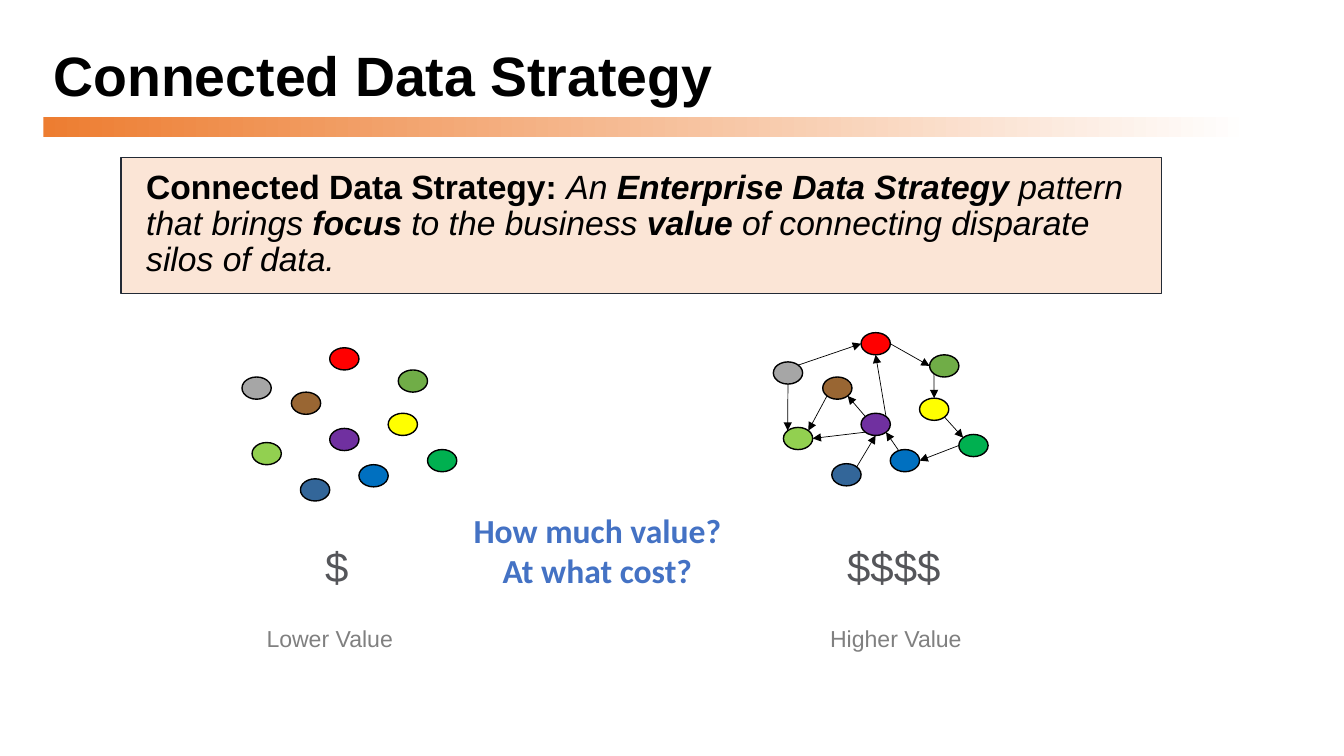
import math
import pptx
import pptx.util
import pptx.dml.color
import pptx.enum.shapes
import pptx.enum.text
import pptx.oxml.ns
from lxml import etree

Inches, Pt = pptx.util.Inches, pptx.util.Pt
Shape = pptx.enum.shapes.MSO_SHAPE
Fit = pptx.enum.text.MSO_AUTO_SIZE
Anchor = pptx.enum.text.MSO_ANCHOR
Align = pptx.enum.text.PP_ALIGN
qn = pptx.oxml.ns.qn

DOT_W, DOT_H = 0.29, 0.22
# name: (x, y from the corner of the cluster, colour)
DOTS = {
    "red": (0.87, 0, "FF0000"),
    "brown": (0.49, 0.44, "996633"),
    "purple": (0.87, 0.8, "7030A0"),
    "green": (1.55, 0.22, "70AD47"),
    "yellow": (1.45, 0.65, "FFFF00"),
    "lime": (0.1, 0.94, "92D050"),
    "blue": (1.16, 1.16, "0070C0"),
    "grey": (0, 0.29, "A6A6A6"),
    "jade": (1.84, 1.01, "00B050"),
    "navy": (0.58, 1.3, "336699"),
}
# start dot, angle on its rim, end dot, angle on its rim (clockwise from right)
LINKS = [
    ("grey", 315, "red", 180),
    ("red", 0, "green", 180),
    ("green", 135, "yellow", 270),
    ("yellow", 45, "jade", 225),
    ("jade", 180, "blue", 0),
    ("blue", 245, "purple", 45),
    ("purple", 225, "brown", 45),
    ("brown", 135, "lime", 315),
    ("grey", 90, "lime", 225),
    ("purple", 315, "red", 90),
    ("purple", 135, "lime", 0),
    ("navy", 315, "purple", 90),
]


def color(code):
    """Turn a hex string into a colour."""
    return pptx.dml.color.RGBColor.from_string(code)


def add_run(para, text, size, code, font="Arial", bold=False, italic=False):
    """Add one formatted run to a paragraph."""
    run = para.add_run()
    run.text = text
    run.font.name, run.font.size = font, Pt(size)
    run.font.bold, run.font.italic = bold, italic
    run.font.color.rgb = color(code)


def add_form(shapes, kind, box, fill, line=None, width=1):
    """Add a flat preset shape in a box given in inches."""
    form = shapes.add_shape(kind, *map(Inches, box))
    form.shadow.inherit = False
    form.fill.solid()
    form.fill.fore_color.rgb = color(fill)
    if line:
        form.line.color.rgb = color(line)
        form.line.width = Pt(width)
    else:
        form.line.fill.background()
    return form


def add_head(slide, box):
    """Place the title with the fading bar beneath it."""
    left, top, width, height = box
    bar = add_form(slide.shapes, Shape.RECTANGLE, (left, top + height, width, 0.2), "ED7D31")
    bar.fill.gradient()
    bar.fill.gradient_angle = 0
    for stop, code in zip(bar.fill.gradient_stops, ("ED7D31", "FFFFFF")):
        stop.color.rgb = color(code)
    title = slide.shapes.title
    title.left, title.top, title.width, title.height = map(Inches, box)
    frame = title.text_frame
    frame.auto_size = Fit.NONE
    frame.vertical_anchor = Anchor.MIDDLE
    para = frame.paragraphs[0]
    para.alignment, para.line_spacing = Align.LEFT, 0.9
    add_run(para, "Connected Data Strategy", 39.6, "000000", bold=True)


def add_claim(slide, box):
    """Place the boxed definition."""
    form = add_form(slide.shapes, Shape.RECTANGLE, box, "FBE5D6", "222A35", 0.75)
    frame = form.text_frame
    frame.word_wrap, frame.auto_size = True, Fit.SHAPE_TO_FIT_TEXT
    frame.vertical_anchor = Anchor.TOP
    frame.margin_left = frame.margin_right = Inches(0.25)
    frame.margin_top = frame.margin_bottom = Inches(0.13)
    para = frame.paragraphs[0]
    para.alignment, para.line_spacing = Align.LEFT, 0.9
    para.space_before = Pt(10)
    for text, bold, italic in [
        ("Connected Data Strategy: ", True, False),
        ("An ", False, True),
        ("Enterprise Data Strategy ", True, True),
        ("pattern that brings ", False, True),
        ("focus", True, True),
        (" to the business ", False, True),
        ("value", True, True),
        (" of connecting disparate silos of data.", False, True),
    ]:
        add_run(para, text, 24, "000000", bold=bold, italic=italic)


def rim(name, angle):
    """Find the point on a dot's rim at an angle."""
    x, y, _ = DOTS[name]
    turn = math.radians(angle)
    return (x + DOT_W / 2 * (1 + math.cos(turn)), y + DOT_H / 2 * (1 + math.sin(turn)))


def add_arrow(shapes, start, end):
    """Draw a thin arrow between two points."""
    arrow = shapes.add_connector(
        pptx.enum.shapes.MSO_CONNECTOR.STRAIGHT, *map(Inches, start + end))
    arrow.line.color.rgb = color("000000")
    arrow.line.width = Pt(0.5)
    props = arrow._element.spPr
    etree.SubElement(props.find(qn("a:ln")), qn("a:tailEnd"), type="triangle")
    etree.SubElement(props, qn("a:effectLst"))


def add_web(slide, left, top, links=()):
    """Place a grouped cluster of dots, with any links between them."""
    shapes = slide.shapes.add_group_shape().shapes
    for x, y, code in DOTS.values():
        add_form(shapes, Shape.OVAL, (left + x, top + y, DOT_W, DOT_H), code, "000000")
    for head, out, tail, into in links:
        ends = [(left + x, top + y) for x, y in (rim(head, out), rim(tail, into))]
        add_arrow(shapes, *ends)


def add_label(slide, box, lines, size, code, font="Arial", bold=False, wrap=False):
    """Place centred lines of text."""
    frame = slide.shapes.add_textbox(*map(Inches, box)).text_frame
    frame.word_wrap, frame.auto_size = wrap, Fit.SHAPE_TO_FIT_TEXT
    for i, text in enumerate(lines):
        para = frame.add_paragraph() if i else frame.paragraphs[0]
        para.alignment = Align.CENTER
        add_run(para, text, size, code, font, bold)


def build(deck):
    """Build the strategy slide."""
    slide = deck.slides.add_slide(deck.slide_layouts[5])
    add_head(slide, (0.43, 0.4, 11.98, 0.76))
    add_claim(slide, (1.2, 1.56, 10.32, 1.35))
    add_web(slide, 7.67, 3.3, LINKS)
    add_web(slide, 2.4, 3.45)
    add_label(slide, (8.3, 5.31, 1.13, 0.61), ["$$$$"], 30, "55565A")
    add_label(slide, (3.12, 5.31, 0.44, 0.61), ["$"], 30, "55565A")
    add_label(slide, (2.52, 6.15, 1.5, 0.38), ["Lower Value"], 16.5, "808080")
    add_label(slide, (8.11, 6.15, 1.55, 0.38), ["Higher Value"], 16.5, "808080")
    add_label(slide, (4.38, 5.01, 3.09, 0.91), ["How much value?", "At what cost?"],
              24, "4472C4", "Calibri", True, True)


deck = pptx.Presentation()
deck.slide_width, deck.slide_height = Inches(13.33), Inches(7.5)
build(deck)
deck.save("out.pptx")
